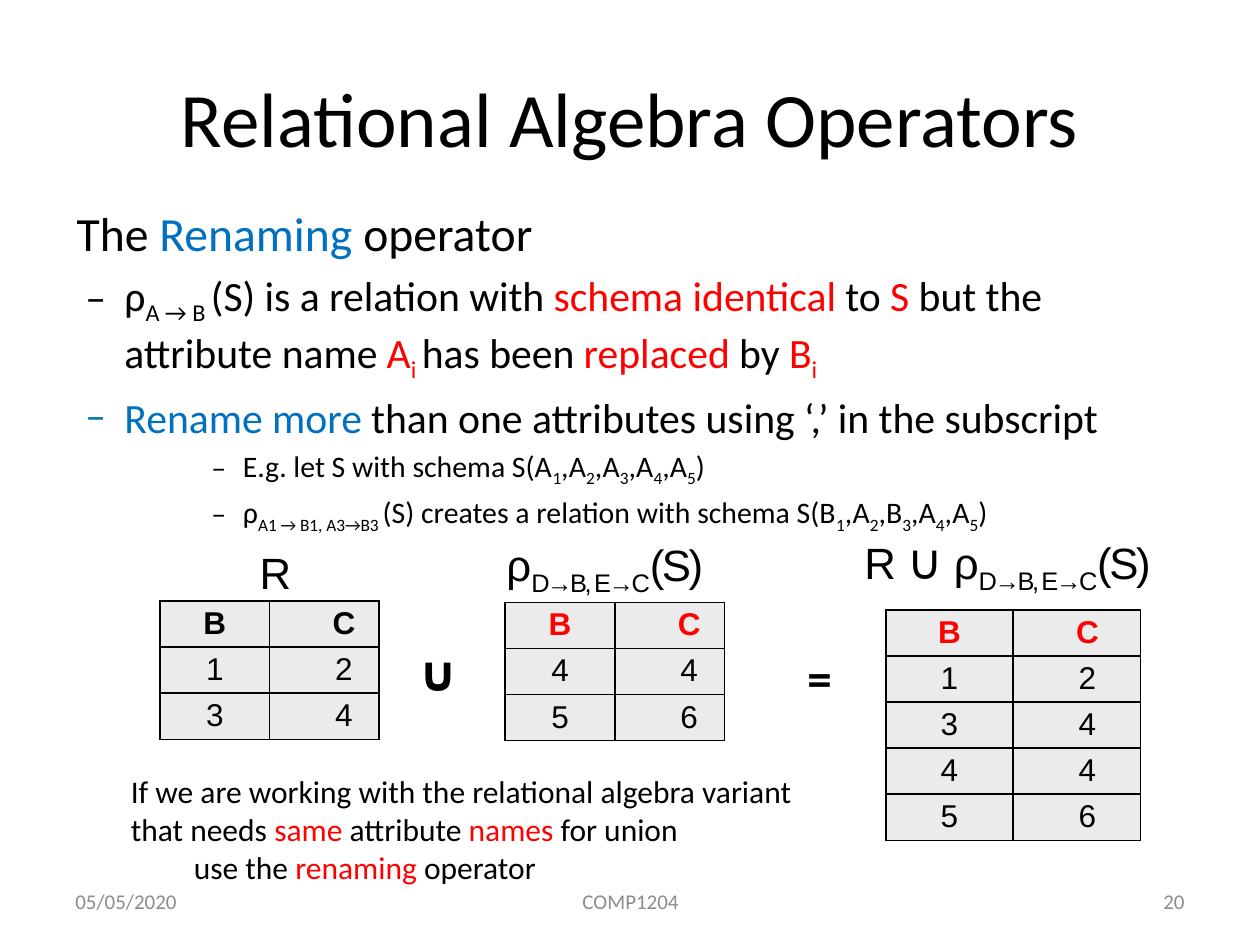
from dataclasses import dataclass

from lxml import etree
from pptx import Presentation
from pptx.dml.color import RGBColor
from pptx.enum.text import MSO_ANCHOR, PP_ALIGN
from pptx.oxml.ns import qn
from pptx.util import Inches, Pt

BLACK, RED, BLUE, GRAY, CELL = "000000", "FF0000", "0070C0", "8C8C8C", "EBEBEB"
MARGINS = (0.1, 0.05, 0.1, 0.05)


@dataclass
class Part:
    text: str
    color: str = ""
    lowered: bool = False
    font: str = ""
    size: float = 0
    spacing: float = 0


def rgb(value):
    return RGBColor.from_string(value)


def red(text):
    return Part(text, RED)


def blue(text):
    return Part(text, BLUE)


def sub(text, color=""):
    return Part(text, color, True)


def schema(prefix, *attributes):
    parts = [prefix + attributes[0][0], sub(attributes[0][1])]
    for letter, number in attributes[1:]:
        parts += ["," + letter, sub(number)]
    return parts + [")"]


def write(para, parts, size, font="Calibri", color=BLACK, bold=False, spacing=0):
    for part in parts:
        part = Part(part) if isinstance(part, str) else part
        span = para.add_run()
        span.text = part.text
        span.font.name = part.font or font
        span.font.size = Pt(part.size or size)
        span.font.bold = bold
        span.font.color.rgb = rgb(part.color or color)
        properties = span._r.get_or_add_rPr()
        if part.lowered:
            properties.set("baseline", "-25000")
        kerning = 0 if part.font else spacing
        if kerning:
            properties.set("spc", str(int(kerning * 100)))


def indent(para, left, hanging=0, bullet=""):
    properties = para._p.get_or_add_pPr()
    properties.set("marL", str(Inches(left)))
    properties.set("indent", str(Inches(-hanging)))
    if bullet:
        etree.SubElement(properties, qn("a:buFont")).set("typeface", "Calibri")
        etree.SubElement(properties, qn("a:buChar")).set("char", bullet)


def add_frame(page, box, margins=MARGINS, anchor=MSO_ANCHOR.TOP, wrap=True):
    frame = page.shapes.add_textbox(*map(Inches, box)).text_frame
    frame.word_wrap = wrap
    frame.vertical_anchor = anchor
    (frame.margin_left, frame.margin_top,
     frame.margin_right, frame.margin_bottom) = map(Inches, margins)
    return frame


def add_line(page, box, text, size, align=PP_ALIGN.LEFT, color=BLACK):
    para = add_frame(page, box, anchor=MSO_ANCHOR.MIDDLE).paragraphs[0]
    para.alignment = align
    write(para, [text], size, color=color)


def add_body(page, box):
    heading = (27.2, 0.43, 0, "")
    point = (23.8, 0.81, 0.31, "–")
    example = (17, 1.75, 0.25, "–")
    a1, a2, a3, a4, a5 = [("A", str(number)) for number in range(1, 6)]
    lines = [
        (heading, ["The ", blue("Renaming"), " operator"]),
        (point, ["ρ", sub("A → B "), "(S) is a relation with ",
                 red("schema identical "), "to", red(" S "),
                 "but the attribute name ", red("A"), sub("i ", RED),
                 "has been ", red("replaced "), "by", red(" B"), sub("i", RED)]),
        (point, [blue("Rename more"),
                 " than one attributes using ‘,’ in the subscript"]),
        (example, schema("E.g. let S with schema S(", a1, a2, a3, a4, a5)),
        (example, ["ρ", sub("A1 → B1, Α3→Β3 ")]
         + schema("(S) creates a relation with schema S(",
                  ("B", "1"), a2, ("B", "3"), a4, a5)),
    ]
    frame = add_frame(page, box)
    for index, ((size, left, hanging, bullet), parts) in enumerate(lines):
        para = frame.add_paragraph() if index else frame.paragraphs[0]
        para.space_before = Pt(size * 0.2)
        indent(para, left, hanging, bullet)
        write(para, parts, size)


def style_cell(cell):
    cell.margin_left = cell.margin_right = cell.margin_bottom = 0
    cell.margin_top = Inches(0.04)
    properties = cell._tc.get_or_add_tcPr()
    for side in ("lnL", "lnR", "lnT", "lnB"):
        line = etree.SubElement(properties, qn("a:" + side), w=str(Pt(1)))
        fill = etree.SubElement(line, qn("a:solidFill"))
        etree.SubElement(fill, qn("a:srgbClr"), val=BLACK)
    cell.fill.solid()
    cell.fill.fore_color.rgb = rgb(CELL)


def add_relation(page, left, top, column_width, rows, header_color):
    row_height = 0.366
    values = [("B", "C")] + rows
    table = page.shapes.add_table(
        len(values), 2, Inches(left), Inches(top),
        Inches(2 * column_width), Inches(len(values) * row_height)).table
    for column in table.columns:
        column.width = Inches(column_width)
    for row_index, pair in enumerate(values):
        table.rows[row_index].height = Inches(row_height)
        header = row_index == 0
        for column_index, value in enumerate(pair):
            cell = table.cell(row_index, column_index)
            style_cell(cell)
            para = cell.text_frame.paragraphs[0]
            para.space_before = Pt(4 if header else 3.6)
            if column_index == 0:
                para.alignment = PP_ALIGN.CENTER
            else:
                indent(para, 0.5 if header else 0.52)
            write(para, [value], 18, "Arial",
                  header_color if header else BLACK, header)


def add_caption(page, box, parts):
    para = add_frame(page, box, (0, 0.01, 0, 0)).paragraphs[0]
    para.space_before = Pt(0.7)
    indent(para, 0.01)
    write(para, parts, 25, "Arial", spacing=-1.4)


def add_operator(page, box, symbol):
    para = add_frame(page, box, wrap=False).paragraphs[0]
    write(para, [symbol], 28, bold=True)


def add_union(page):
    renamed = ["ρ", sub("D→B, E→C"), "(S)"]
    first, second = [("1", "2"), ("3", "4")], [("4", "4"), ("5", "6")]
    add_relation(page, 1.27, 4.77, 0.87, first, BLACK)
    add_caption(page, (2.05, 4.32, 0.41, 0.43), ["R"])
    add_operator(page, (3.22, 5.05, 0.59, 0.57), "∪")
    add_relation(page, 4.01, 4.78, 0.87, second, RED)
    add_caption(page, (4.01, 4.26, 2.84, 0.43), renamed)
    add_relation(page, 7.03, 4.84, 1.01, first + second, RED)
    add_caption(page, (6.85, 4.2, 2.54, 0.48),
                ["R", Part(" ∪ ", font="Calibri", size=28)] + renamed)
    add_operator(page, (6.31, 5.09, 0.4, 0.57), "=")


def add_remark(page, box):
    frame = add_frame(page, box)
    write(frame.paragraphs[0],
          ["If we are working with the relational algebra variant that needs ",
           red("same"), " attribute ", red("names"), " for union"], 18)
    para = frame.add_paragraph()
    indent(para, 0.5)
    write(para, ["use the ", red("renaming"), " operator"], 18)


def add_footer(page, top, height):
    for left, width, text, align in (
            (0.5, 2.33, "05/05/2020", PP_ALIGN.LEFT),
            (3.42, 3.17, "COMP1204", PP_ALIGN.CENTER),
            (7.17, 2.33, "20", PP_ALIGN.RIGHT)):
        add_line(page, (left, top, width, height), text, 12, align, GRAY)


def main():
    deck = Presentation()
    deck.slide_width, deck.slide_height = Inches(10), Inches(7.5)
    page = deck.slides.add_slide(deck.slide_layouts[6])
    add_line(page, (0.5, 0.3, 9, 1.25), "Relational Algebra Operators", 44,
             PP_ALIGN.CENTER)
    add_body(page, (0.08, 1.57, 9.1, 2.45))
    add_footer(page, 6.95, 0.4)
    add_union(page)
    add_remark(page, (0.94, 6.08, 5.74, 1.01))
    deck.save("out.pptx")


if __name__ == "__main__":
    main()
